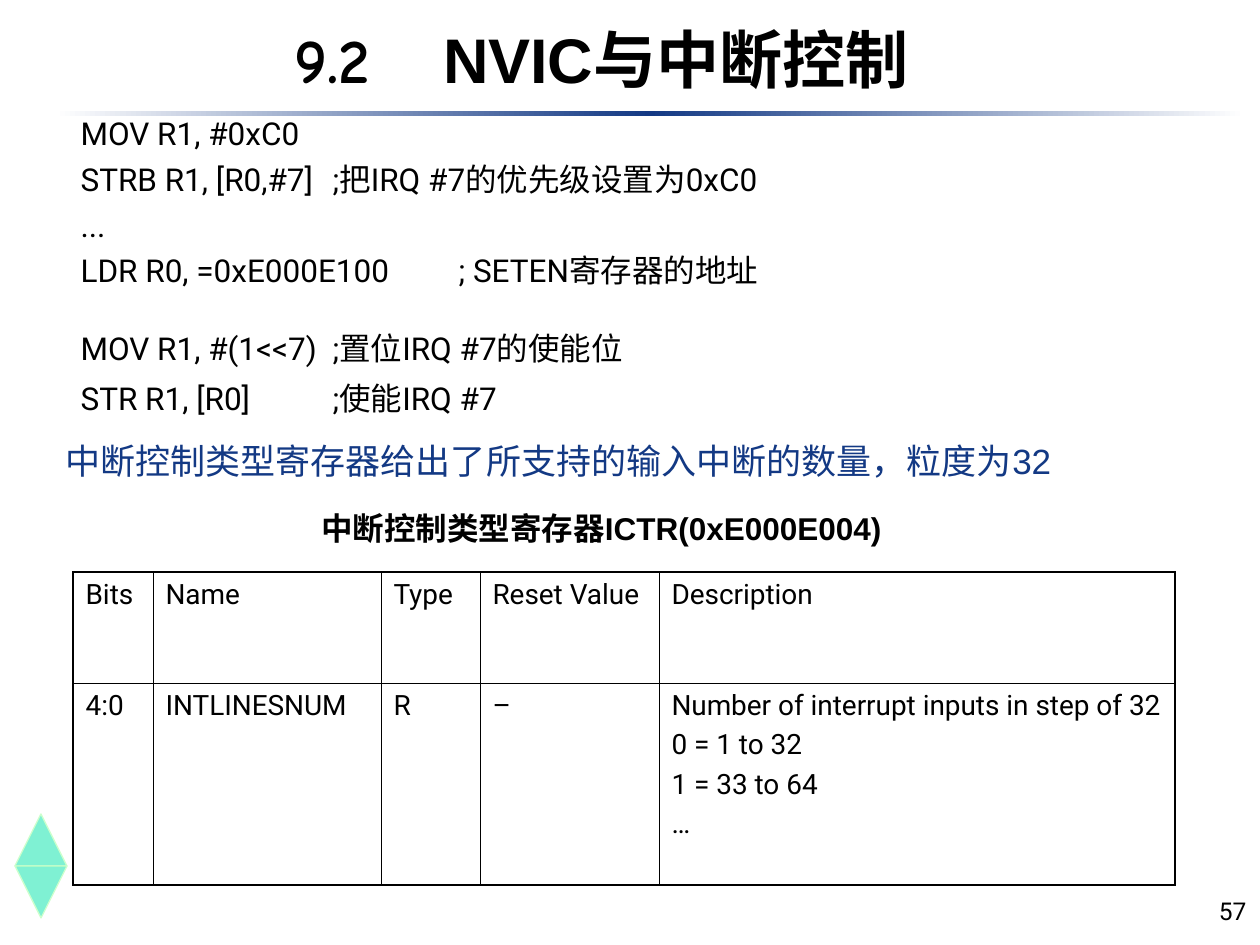
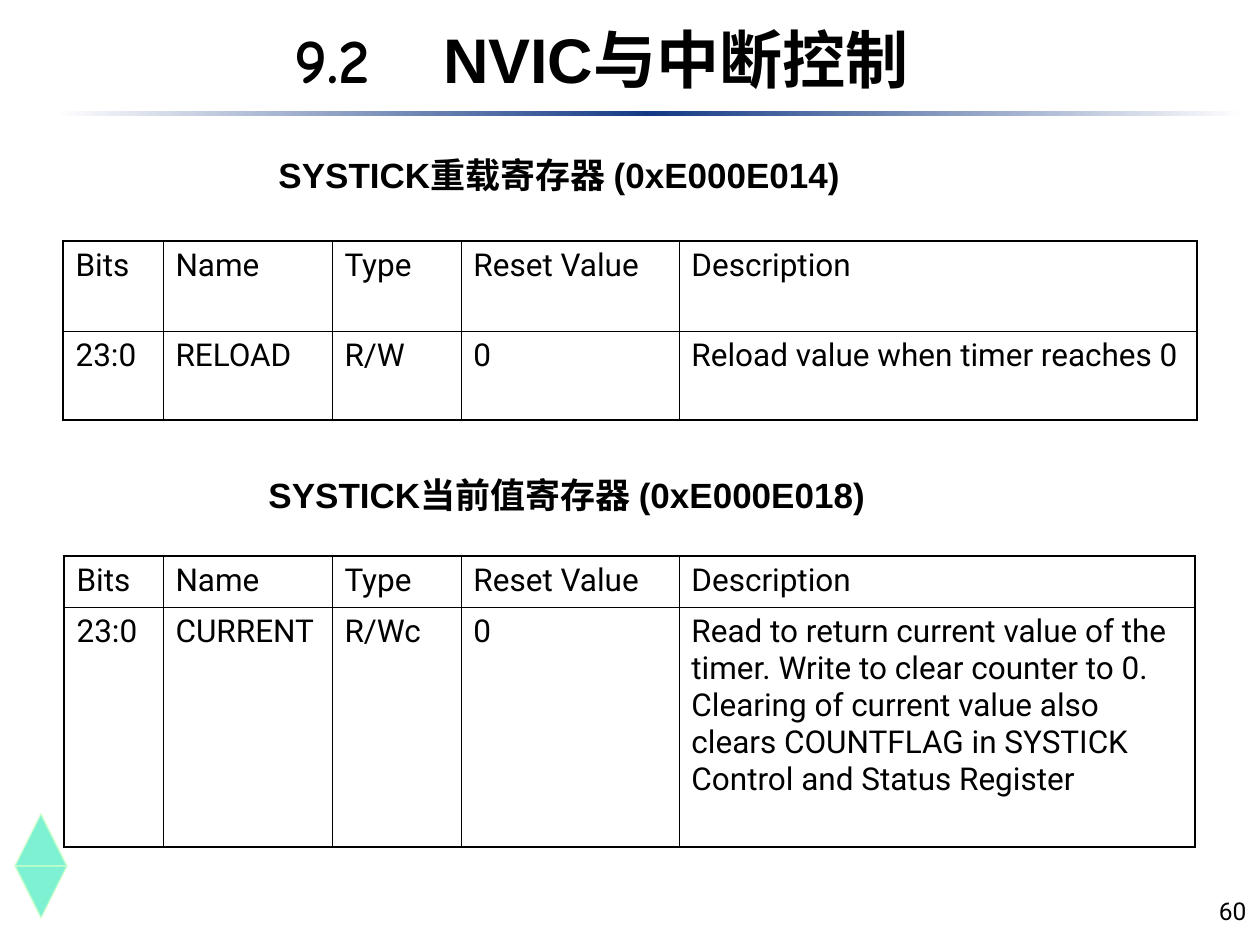
from lxml import etree
from pptx import Presentation
from pptx.dml.color import RGBColor
from pptx.enum.shapes import MSO_SHAPE
from pptx.enum.text import MSO_ANCHOR, MSO_AUTO_SIZE, PP_ALIGN
from pptx.oxml.ns import qn
from pptx.util import Emu, Pt

EMU_PER_PX = 914400 // 126
SLIDE_SIZE = (1260, 945)
LEFT, RIGHT = PP_ALIGN.LEFT, PP_ALIGN.RIGHT
TOP, MIDDLE, BOTTOM = MSO_ANCHOR.TOP, MSO_ANCHOR.MIDDLE, MSO_ANCHOR.BOTTOM
RECTANGLE, TRIANGLE = MSO_SHAPE.RECTANGLE, MSO_SHAPE.ISOSCELES_TRIANGLE
BODY_FONT, HEADING_FONT, NUMBER_FONT = "Roboto", "Arial", "Comic Neue"
BLACK, WHITE, NAVY, MINT, PALE_GREEN = "000000", "FFFFFF", "133984", "00E4A8", "CCFFCC"
THIN, THICK = 0.45, 1.08

TITLE_RUNS = [("9.2\t ", NUMBER_FONT), ("NVIC与中断控制", HEADING_FONT)]
TITLE_BOX = (282, 20, 694, 76)
TITLE_TABS = [126]
NUMBER_BOX = (997, 869, 262, 63)
HEADER = ["Bits", "Name", "Type", "Reset Value", "Description"]

CODE_BOX = (68, 108, 1120, 318)
CODE_TABS = [297, 423]
# (line, space before in points)
CODE_LINES = [
    ("MOV R1, #0xC0", 0),
    ("STRB R1, [R0,#7] \t;把IRQ #7的优先级设置为0xC0", 4.5),
    ("...", 4.5),
    ("LDR R0, =0xE000E100 \t; SETEN寄存器的地址", 4.5),
    ("MOV R1, #(1<<7) \t;置位IRQ #7的使能位", 23),
    ("STR R1, [R0] \t\t;使能IRQ #7", 7),
]

SLIDES = [
    {
        "number": "57",
        "code": CODE_LINES,
        "headings": [
            {"text": "中断控制类型寄存器给出了所支持的输入中断的数量，粒度为32",
             "box": (53, 433, 1131, 55), "size": 20, "color": NAVY},
            {"text": "中断控制类型寄存器ICTR(0xE000E004)",
             "box": (309, 503, 700, 50), "size": 18, "bold": True},
        ],
        "tables": [
            {"origin": (73, 572), "columns": [80, 228, 99, 179, 516], "rows": [111, 202],
             "size": 16, "space": 4,
             "values": ["4:0", "INTLINESNUM", "R", "–",
                        "Number of interrupt inputs in step of 32\n0 = 1 to 32\n1 = 33 to 64\n…"]},
        ],
    },
    {
        "number": "60",
        "headings": [
            {"text": "SYSTICK重载寄存器 (0xE000E014)",
             "box": (266, 147, 700, 55), "size": 20, "bold": True},
            {"text": "SYSTICK当前值寄存器 (0xE000E018)",
             "box": (256, 467, 700, 55), "size": 20, "bold": True},
        ],
        "tables": [
            {"origin": (63, 241), "columns": [100, 169, 129, 218, 518], "rows": [90, 89],
             "size": 18, "space": 4.5,
             "values": ["23:0", "RELOAD", "R/W", "0", "Reload value when timer reaches 0"]},
            {"origin": (64, 556), "columns": [99, 169, 129, 218, 516], "rows": [51, 240],
             "size": 18, "space": 3.4,
             "values": ["23:0", "CURRENT", "R/Wc", "0",
                        "Read to return current value of the timer. Write to clear counter to 0. "
                        "Clearing of current value also clears COUNTFLAG in SYSTICK Control and "
                        "Status Register"]},
        ],
    },
]


def px(length):
    return Emu(length * EMU_PER_PX)


def rgb(color):
    return RGBColor.from_string(color)


def write(paragraph, text, font=BODY_FONT, size=18, color=BLACK, bold=False,
          align=LEFT, space=0):
    """Append one formatted run to the paragraph."""
    paragraph.alignment = align
    paragraph.space_before = Pt(space)
    run = paragraph.add_run()
    run.text = text
    run.font.name = font
    run.font.size = Pt(size)
    run.font.bold = bold
    run.font.color.rgb = rgb(color)


def set_tabs(paragraph, stops):
    """Drop the bullet and indent, then set left tab stops."""
    properties = paragraph._p.get_or_add_pPr()
    properties.set("marL", "0")
    properties.set("indent", "0")
    etree.SubElement(properties, qn("a:buNone"))
    tab_list = etree.SubElement(properties, qn("a:tabLst"))
    for stop in stops:
        etree.SubElement(tab_list, qn("a:tab"), pos=str(px(stop)), algn="l")


def place(shape, box, anchor=TOP):
    """Move a text shape to its box and return its text frame."""
    shape.left, shape.top, shape.width, shape.height = map(px, box)
    frame = shape.text_frame
    frame.word_wrap = True
    frame.auto_size = MSO_AUTO_SIZE.NONE
    frame.vertical_anchor = anchor
    return frame


def add_text(slide, text, box, anchor=TOP, **text_format):
    frame = place(slide.shapes.add_textbox(0, 0, 0, 0), box, anchor)
    write(frame.paragraphs[0], text, **text_format)


def add_shape(slide, kind, box):
    shape = slide.shapes.add_shape(kind, *map(px, box))
    shape.shadow.inherit = False
    return shape


def add_rule(slide):
    """Line under the title that fades out to both sides."""
    for left, colors in ((55, (WHITE, NAVY)), (650, (NAVY, WHITE))):
        half = add_shape(slide, RECTANGLE, (left, 111, 595, 5))
        half.line.fill.background()
        half.fill.gradient()
        half.fill.gradient_angle = 0
        for stop, color in zip(half.fill.gradient_stops, colors):
            stop.color.rgb = rgb(color)


def add_diamond(slide):
    for top, rotation in ((814, 0), (866, 180)):
        triangle = add_shape(slide, TRIANGLE, (15, top, 52, 52))
        triangle.rotation = rotation
        triangle.fill.solid()
        triangle.fill.fore_color.rgb = rgb(MINT)
        color = triangle._element.spPr.find(".//" + qn("a:srgbClr"))
        etree.SubElement(color, qn("a:alpha"), val="50000")
        triangle.line.color.rgb = rgb(PALE_GREEN)
        triangle.line.width = Pt(0.75)


def add_title(slide):
    frame = place(slide.shapes.title, TITLE_BOX, MIDDLE)
    frame.margin_top = frame.margin_bottom = 0
    paragraph = frame.paragraphs[0]
    for text, font in TITLE_RUNS:
        write(paragraph, text, font=font, size=36, bold=True)
    set_tabs(paragraph, TITLE_TABS)


def add_code(slide, lines):
    frame = place(slide.placeholders[1], CODE_BOX)
    for index, (line, space) in enumerate(lines):
        paragraph = frame.add_paragraph() if index else frame.paragraphs[0]
        write(paragraph, line, space=space)
        set_tabs(paragraph, CODE_TABS)


def set_borders(cell, outer_sides):
    properties = cell._tc.get_or_add_tcPr()
    for side in "LRTB":
        width = Pt(THICK if side in outer_sides else THIN)
        line = etree.SubElement(properties, qn("a:ln" + side), w=str(width))
        fill = etree.SubElement(line, qn("a:solidFill"))
        etree.SubElement(fill, qn("a:srgbClr"), val=BLACK)


def add_register_table(slide, origin, columns, rows, size, space, values):
    box = (*origin, sum(columns), sum(rows))
    table = slide.shapes.add_table(len(rows), len(columns), *map(px, box)).table
    table.first_row = table.horz_banding = False
    for column, width in zip(table.columns, columns):
        column.width = px(width)
    for row_index, texts in enumerate((HEADER, values)):
        table.rows[row_index].height = px(rows[row_index])
        for column_index, text in enumerate(texts):
            cell = table.cell(row_index, column_index)
            outer_sides = "B" if row_index else "T"
            if column_index == 0:
                outer_sides += "L"
            elif column_index == len(columns) - 1:
                outer_sides += "R"
            set_borders(cell, outer_sides)
            cell.fill.background()
            frame = cell.text_frame
            for index, line in enumerate(text.split("\n")):
                paragraph = frame.add_paragraph() if index else frame.paragraphs[0]
                write(paragraph, line, size=size, space=space)


def main():
    presentation = Presentation()
    presentation.slide_width, presentation.slide_height = map(px, SLIDE_SIZE)
    title_and_content, title_only = (presentation.slide_layouts[i] for i in (1, 5))
    for content in SLIDES:
        layout = title_and_content if "code" in content else title_only
        slide = presentation.slides.add_slide(layout)
        add_rule(slide)
        add_diamond(slide)
        add_title(slide)
        if "code" in content:
            add_code(slide, content["code"])
        for heading in content["headings"]:
            add_text(slide, font=HEADING_FONT, **heading)
        for table in content["tables"]:
            add_register_table(slide, **table)
        add_text(slide, content["number"], NUMBER_BOX, BOTTOM, size=14, align=RIGHT)
    presentation.save("out.pptx")


if __name__ == "__main__":
    main()
